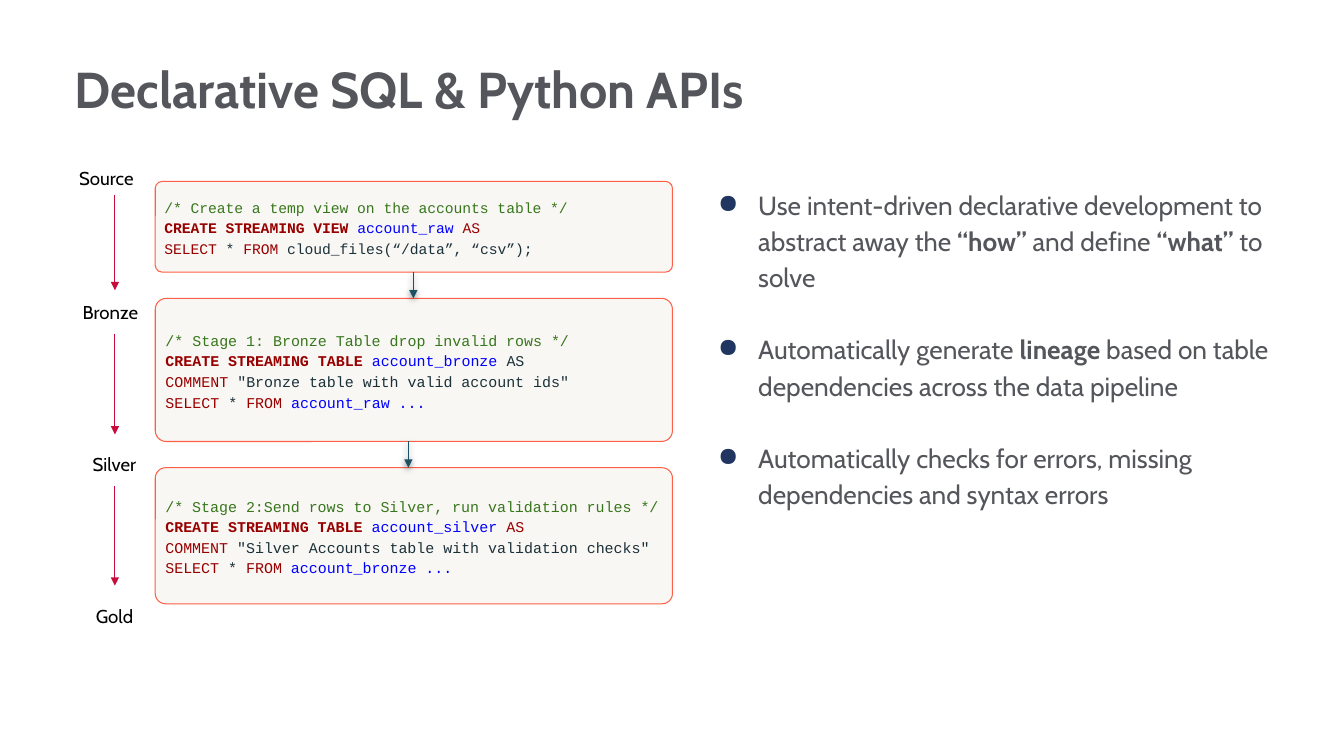
from lxml import etree
from pptx import Presentation
from pptx.dml.color import RGBColor
from pptx.enum.shapes import MSO_CONNECTOR as Connector, MSO_SHAPE as Shape
from pptx.enum.text import MSO_ANCHOR as Anchor, PP_ALIGN as Align
from pptx.oxml import parse_xml
from pptx.oxml.ns import nsdecls, qn
from pptx.util import Inches, Pt

THEME = {
    "font": "Cabin", "code_font": "Courier New",
    "title_size": 36, "body_size": 18.7, "label_size": 13.3,
    "text": "54565B", "label": "000000", "bullet": "203661",
    "card": "F9F7F4", "card_line": "FF5F46",
    "flow": "1B5162", "stage": "C50E3C",
    "comment": "38761D", "keyword": "980000", "name": "0000FF", "plain": "1B3139",
}

TITLE = "Declarative SQL & Python APIs"

BENEFITS = [
    [("Use intent-driven declarative development to abstract away the ", False),
     ("“how” ", True), ("and define", False), (" “what” ", True), ("to solve", False)],
    [("Automatically generate ", False), ("lineage", True),
     (" based on table dependencies across the data pipeline", False)],
    [("Automatically checks for errors, missing dependencies and syntax errors", False)],
]

CARDS = [
    {"top": 1.8, "height": 0.9, "size": 10.5, "code": [
        [("/* Create a temp view on the accounts table */", "comment")],
        [("CREATE STREAMING VIEW ", "strong"), ("account_raw ", "name"), ("AS", "keyword")],
        [("SELECT", "keyword"), (" * ", "plain"), ("FROM", "keyword"),
         (" cloud_files(“/data”, “csv”);", "plain")],
    ]},
    {"top": 2.96, "height": 1.42, "size": 10.7, "code": [
        [("/* Stage 1: Bronze Table drop invalid rows */", "comment")],
        [("CREATE STREAMING TABLE ", "strong"), ("account_bronze", "name"), (" AS", "plain")],
        [("COMMENT", "keyword"), (' "Bronze table with valid account ids"', "plain")],
        [("SELECT", "keyword"), (" * ", "plain"), ("FROM ", "keyword"),
         ("account_raw ...", "name")],
    ]},
    {"top": 4.64, "height": 1.35, "size": 10.7, "code": [
        [("/* Stage 2:Send rows to Silver, run validation rules */", "comment")],
        [("CREATE STREAMING TABLE ", "strong"), ("account_silver ", "name"), ("AS", "keyword")],
        [("COMMENT", "keyword"),
         (' "Silver Accounts table with validation checks"', "plain")],
        [("SELECT", "keyword"), (" * ", "plain"), ("FROM ", "keyword"),
         ("account_bronze ...", "name")],
    ]},
]
CARD_LEFT, CARD_WIDTH = 1.54, 5.13
FLOW_X = [4.1, 4.05]

STAGES = [("Source", 0.61, 1.56), ("Bronze", 0.65, 2.89),
          ("Silver", 0.69, 4.39), ("Gold", 0.69, 5.9)]
STAGE_X = 1.14
STAGE_SPANS = [(1.93, 2.88), (3.31, 4.31), (4.82, 5.81)]


def color(key):
    return RGBColor.from_string(THEME[key])


def add_run(paragraph, text, size, ink, font="font", bold=False):
    run = paragraph.add_run()
    run.text = text
    run.font.name = THEME[font]
    run.font.size = Pt(size)
    run.font.bold = bold
    run.font.color.rgb = color(ink)


def prepare(frame, margins, anchor=Anchor.TOP):
    frame.word_wrap = True
    frame.vertical_anchor = anchor
    frame.margin_left = frame.margin_right = Inches(margins[0])
    frame.margin_top = frame.margin_bottom = Inches(margins[1])
    return frame


def add_text(slide, left, top, width, height, margins, anchor=Anchor.TOP):
    box = slide.shapes.add_textbox(Inches(left), Inches(top), Inches(width), Inches(height))
    return prepare(box.text_frame, margins, anchor)


def next_paragraph(frame, index):
    return frame.add_paragraph() if index else frame.paragraphs[0]


def add_bullet(paragraph):
    properties = paragraph._p.get_or_add_pPr()
    properties.set("marL", str(Inches(0.5)))
    properties.set("indent", str(Inches(-0.4)))
    tint = etree.SubElement(properties, qn("a:buClr"))
    etree.SubElement(tint, qn("a:srgbClr"), val=THEME["bullet"])
    etree.SubElement(properties, qn("a:buChar"), char="●")


def add_benefits(slide):
    frame = add_text(slide, 7.02, 1.78, 5.91, 4.26, (0, 0.05))
    for index, benefit in enumerate(BENEFITS):
        paragraph = next_paragraph(frame, index)
        add_bullet(paragraph)
        paragraph.line_spacing = 1.15
        if index:
            paragraph.space_before = Pt(26)
        for text, bold in benefit:
            add_run(paragraph, text, THEME["body_size"], "text", bold=bold)


def add_card(slide, card):
    box = slide.shapes.add_shape(Shape.ROUNDED_RECTANGLE, Inches(CARD_LEFT), Inches(card["top"]),
                                 Inches(CARD_WIDTH), Inches(card["height"]))
    box.adjustments[0] = 0.076
    box.shadow.inherit = False
    box.fill.solid()
    box.fill.fore_color.rgb = color("card")
    box.line.color.rgb = color("card_line")
    box.line.width = Pt(0.75)
    frame = prepare(box.text_frame, (0.07, 0.04), Anchor.MIDDLE)
    for index, line in enumerate(card["code"]):
        paragraph = next_paragraph(frame, index)
        paragraph.alignment = Align.LEFT
        paragraph.line_spacing = 1.15
        for text, role in line:
            strong = role == "strong"
            add_run(paragraph, text, card["size"], "keyword" if strong else role,
                    "code_font", strong)


def add_arrow(slide, x, top, bottom, ink, shadow=False):
    arrow = slide.shapes.add_connector(Connector.STRAIGHT, Inches(x), Inches(top),
                                       Inches(x), Inches(bottom))
    arrow.line.color.rgb = color(ink)
    arrow.line.width = Pt(0.75)
    etree.SubElement(arrow.line._get_or_add_ln(), qn("a:tailEnd"), type="triangle")
    cast = (f'<a:outerShdw blurRad="{Pt(4.5)}" dist="{Pt(1.5)}" dir="5400000" rotWithShape="0">'
            '<a:srgbClr val="000000"><a:alpha val="50000"/></a:srgbClr></a:outerShdw>')
    arrow._element.spPr.append(parse_xml(
        f'<a:effectLst {nsdecls("a")}>{cast if shadow else ""}</a:effectLst>'))


def add_stages(slide):
    for top, bottom in STAGE_SPANS:
        add_arrow(slide, STAGE_X, top, bottom, "stage")
    for name, left, top in STAGES:
        paragraph = add_text(slide, left, top, 0.89, 0.43, (0.1, 0.1)).paragraphs[0]
        paragraph.alignment = Align.CENTER
        add_run(paragraph, name, THEME["label_size"], "label")


def add_title(slide):
    paragraph = add_text(slide, 0.74, 0.59, 11.66, 0.64, (0, 0), Anchor.MIDDLE).paragraphs[0]
    paragraph.line_spacing = 0.9
    add_run(paragraph, TITLE, THEME["title_size"], "text", bold=True)


def main():
    deck = Presentation()
    deck.slide_width, deck.slide_height = Inches(13.33), Inches(7.5)
    slide = deck.slides.add_slide(deck.slide_layouts[6])
    add_benefits(slide)
    for card in CARDS:
        add_card(slide, card)
    for x, upper, lower in zip(FLOW_X, CARDS, CARDS[1:]):
        add_arrow(slide, x, upper["top"] + upper["height"], lower["top"], "flow", shadow=True)
    add_stages(slide)
    add_title(slide)
    deck.save("out.pptx")


if __name__ == "__main__":
    main()
